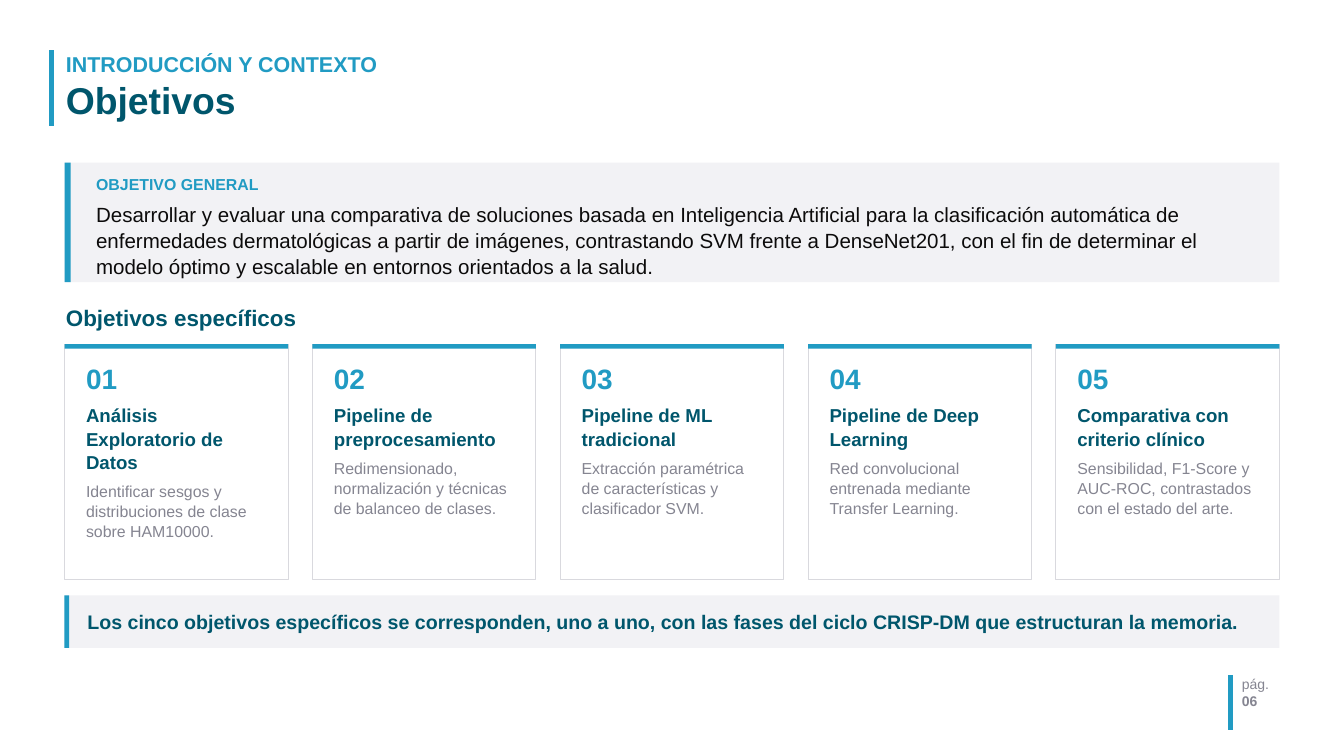
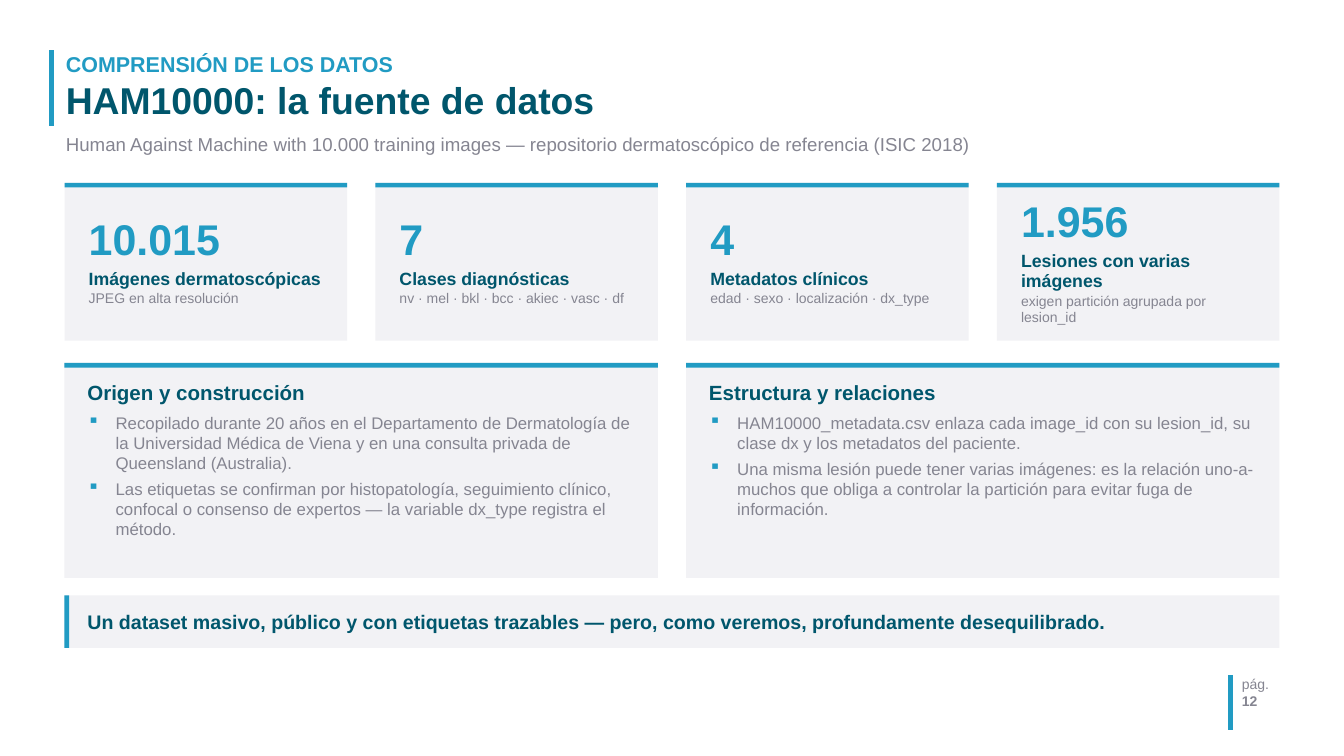
import pptx
import pptx.util
import pptx.dml.color
import pptx.enum.shapes
import pptx.enum.text
import pptx.oxml.ns
from lxml import etree

COLORS = {
    "accent": "219BC3",
    "dark": "00566C",
    "gray": "858591",
    "ink": "0C0B0B",
    "panel": "F2F2F5",
    "white": "FFFFFF",
    "border": "D9D9DE",
}
FONT = "Arial"

# The grid has 100 columns and 100 rows
SLIDE_WIDTH = pptx.util.Inches(20)
SLIDE_HEIGHT = pptx.util.Inches(11.25)
LEFT, WIDTH = 4.8, 90.4
BAR_HEIGHT, BAR_WIDTH = 0.62, 0.35
CENTERED = pptx.enum.text.MSO_ANCHOR.MIDDLE

OBJECTIVES = [
    ("Análisis Exploratorio de Datos",
     "Identificar sesgos y distribuciones de clase sobre HAM10000."),
    ("Pipeline de preprocesamiento",
     "Redimensionado, normalización y técnicas de balanceo de clases."),
    ("Pipeline de ML tradicional",
     "Extracción paramétrica de características y clasificador SVM."),
    ("Pipeline de Deep Learning",
     "Red convolucional entrenada mediante Transfer Learning."),
    ("Comparativa con criterio clínico",
     "Sensibilidad, F1-Score y AUC-ROC, contrastados con el estado del arte."),
]
FIGURES = [
    ("10.015", "Imágenes dermatoscópicas", "JPEG en alta resolución"),
    ("7", "Clases diagnósticas", "nv · mel · bkl · bcc · akiec · vasc · df"),
    ("4", "Metadatos clínicos", "edad · sexo · localización · dx_type"),
    ("1.956", "Lesiones con varias imágenes",
     "exigen partición agrupada por lesion_id"),
]
PANELS = [
    ("Origen y construcción", [
        "Recopilado durante 20 años en el Departamento de Dermatología de la "
        "Universidad Médica de Viena y en una consulta privada de Queensland "
        "(Australia).",
        "Las etiquetas se confirman por histopatología, seguimiento clínico, "
        "confocal o consenso de expertos — la variable dx_type registra el "
        "método.",
    ]),
    ("Estructura y relaciones", [
        "HAM10000_metadata.csv enlaza cada image_id con su lesion_id, su clase "
        "dx y los metadatos del paciente.",
        "Una misma lesión puede tener varias imágenes: es la relación "
        "uno-a-muchos que obliga a controlar la partición para evitar fuga de "
        "información.",
    ]),
]


def across(columns):
    return round(SLIDE_WIDTH * columns / 100)


def down(rows):
    return round(SLIDE_HEIGHT * rows / 100)


def rgb(name):
    return pptx.dml.color.RGBColor.from_string(COLORS[name])


def equal_columns(count, gap):
    """Return the left edges and the width of equal columns."""
    width = (WIDTH - gap * (count - 1)) / count
    return [LEFT + index * (width + gap) for index in range(count)], width


# Basic elements
def add_box(slide, left, top, width, height, fill, border=None):
    shape = slide.shapes.add_shape(
        pptx.enum.shapes.MSO_SHAPE.RECTANGLE,
        across(left), down(top), across(width), down(height))
    shape.shadow.inherit = False
    shape.fill.solid()
    shape.fill.fore_color.rgb = rgb(fill)
    if border:
        shape.line.color.rgb = rgb(border)
        shape.line.width = pptx.util.Pt(1)
    else:
        shape.line.fill.background()


def add_rule(slide, column, top, bottom):
    connector = slide.shapes.add_connector(
        pptx.enum.shapes.MSO_CONNECTOR.STRAIGHT,
        across(column), down(top), across(column), down(bottom))
    connector.line.color.rgb = rgb("accent")
    connector.line.width = pptx.util.Pt(5)
    etree.SubElement(connector._element.spPr, pptx.oxml.ns.qn("a:effectLst"))


def add_bullet(paragraph):
    properties = paragraph._p.get_or_add_pPr()
    indent = pptx.util.Inches(0.42)
    properties.set("marL", str(indent))
    properties.set("indent", str(-indent))
    color = etree.SubElement(properties, pptx.oxml.ns.qn("a:buClr"))
    etree.SubElement(color, pptx.oxml.ns.qn("a:srgbClr"), val=COLORS["accent"])
    etree.SubElement(properties, pptx.oxml.ns.qn("a:buChar"), char="▪")


def line(text, size, color, bold=False, after=0, bullet=False):
    return dict(text=text, size=size, color=color, bold=bold, after=after,
                bullet=bullet)


def add_text(slide, left, top, width, height, lines, spacing=1.0, anchor=None):
    text_box = slide.shapes.add_textbox(
        across(left), down(top), across(width), down(height))
    text_frame = text_box.text_frame
    text_frame.word_wrap = True
    text_frame.vertical_anchor = anchor or pptx.enum.text.MSO_ANCHOR.TOP
    text_frame.margin_left = text_frame.margin_right = pptx.util.Inches(0.02)
    text_frame.margin_top = text_frame.margin_bottom = 0
    text_frame.text = "\n".join(item["text"] for item in lines)
    for paragraph, item in zip(text_frame.paragraphs, lines):
        if item["bullet"]:
            add_bullet(paragraph)
        paragraph.line_spacing = spacing
        paragraph.space_after = pptx.util.Pt(item["after"])
        font = paragraph.runs[0].font
        font.name = FONT
        font.size = pptx.util.Pt(item["size"])
        font.bold = item["bold"]
        font.color.rgb = rgb(item["color"])


# Parts shared by the slides
def add_card(slide, left, top, width, height, pad, inset, lines,
             fill="panel", border=None, **text_style):
    """Box with an accent bar on top and text inset by pad and inset."""
    add_box(slide, left, top, width, height, fill, border)
    add_box(slide, left, top, width, BAR_HEIGHT, "accent")
    add_text(slide, left + pad, top + inset, width - 2 * pad,
             height - 2 * inset, lines, **text_style)


def add_side_band(slide, top, height, bar_width):
    add_box(slide, LEFT, top, WIDTH, height, "panel")
    add_box(slide, LEFT, top, bar_width, height, "accent")


def add_conclusion(slide, text):
    top, height = 78.76, 6.93
    add_side_band(slide, top, height, BAR_WIDTH)
    add_text(slide, 6.4, top, 87.9, height,
             [line(text, 21, "dark", bold=True)], anchor=CENTERED)


def start_slide(presentation, section, title, page):
    slide = presentation.slides.add_slide(presentation.slide_layouts[6])
    slide.background.fill.solid()
    slide.background.fill.fore_color.rgb = rgb("white")
    add_rule(slide, 91.55, 89.33, 96.53)
    add_rule(slide, 3.85, 6.67, 16.71)
    add_text(slide, 92.3, 89.42, 6.5, 7.11,
             [line("pág.", 15, "gray"), line(page, 15, "gray", bold=True)])
    add_text(slide, LEFT, 6.22, 86, 10.84,
             [line(section, 23, "accent", bold=True, after=5),
              line(title, 40, "dark", bold=True)],
             spacing=0.92, anchor=CENTERED)
    return slide


# Slides
def build_objectives(presentation):
    slide = start_slide(presentation, "INTRODUCCIÓN Y CONTEXTO", "Objetivos", "06")

    # General objective
    add_side_band(slide, 21.51, 15.82, 0.45)
    general = (
        "Desarrollar y evaluar una comparativa de soluciones basada en "
        "Inteligencia Artificial para la clasificación automática de "
        "enfermedades dermatológicas a partir de imágenes, contrastando SVM "
        "frente a DenseNet201, con el fin de determinar el modelo óptimo y "
        "escalable en entornos orientados a la salud.")
    add_text(slide, 7.05, 22.93, 85.9, 13.78,
             [line("OBJETIVO GENERAL", 17, "accent", bold=True, after=7),
              line(general, 22, "ink")], spacing=1.06)

    # Specific objectives
    add_text(slide, LEFT, 40.18, WIDTH, 4,
             [line("Objetivos específicos", 24, "dark", bold=True)])
    lefts, width = equal_columns(len(OBJECTIVES), 1.8)
    for number, (left, (name, detail)) in enumerate(zip(lefts, OBJECTIVES), 1):
        add_card(slide, left, 45.51, width, 31.11, 1.5, 2.13,
                 [line(f"{number:02}", 30, "accent", bold=True, after=8),
                  line(name, 20, "dark", bold=True, after=8),
                  line(detail, 17, "gray")],
                 fill="white", border="border", spacing=1.05)

    add_conclusion(slide, "Los cinco objetivos específicos se corresponden, uno a "
                   "uno, con las fases del ciclo CRISP-DM que estructuran la memoria.")


def build_data_source(presentation):
    slide = start_slide(presentation, "COMPRENSIÓN DE LOS DATOS",
                        "HAM10000: la fuente de datos", "12")
    add_text(slide, LEFT, 17.6, 86, 3.73,
             [line("Human Against Machine with 10.000 training images — repositorio "
                   "dermatoscópico de referencia (ISIC 2018)", 20, "gray")])

    # Key figures
    lefts, width = equal_columns(len(FIGURES), 2.1)
    for left, (figure, name, detail) in zip(lefts, FIGURES):
        add_card(slide, left, 24.18, width, 20.89, 1.7, 1.78,
                 [line(figure, 46, "accent", bold=True, after=4),
                  line(name, 19, "dark", bold=True, after=2),
                  line(detail, 15, "gray")],
                 spacing=0.95, anchor=CENTERED)

    # Bulleted panels
    lefts, width = equal_columns(len(PANELS), 2.1)
    for left, (heading, points) in zip(lefts, PANELS):
        bullets = [line(point, 18, "gray", after=6, bullet=True)
                   for point in points]
        add_card(slide, left, 48, width, 28.44, 1.6, 2.31,
                 [line(heading, 22, "dark", bold=True, after=8)] + bullets)

    add_conclusion(slide, "Un dataset masivo, público y con etiquetas trazables — "
                   "pero, como veremos, profundamente desequilibrado.")


def main():
    presentation = pptx.Presentation()
    presentation.slide_width = SLIDE_WIDTH
    presentation.slide_height = SLIDE_HEIGHT
    build_objectives(presentation)
    build_data_source(presentation)
    presentation.save("out.pptx")


if __name__ == "__main__":
    main()
